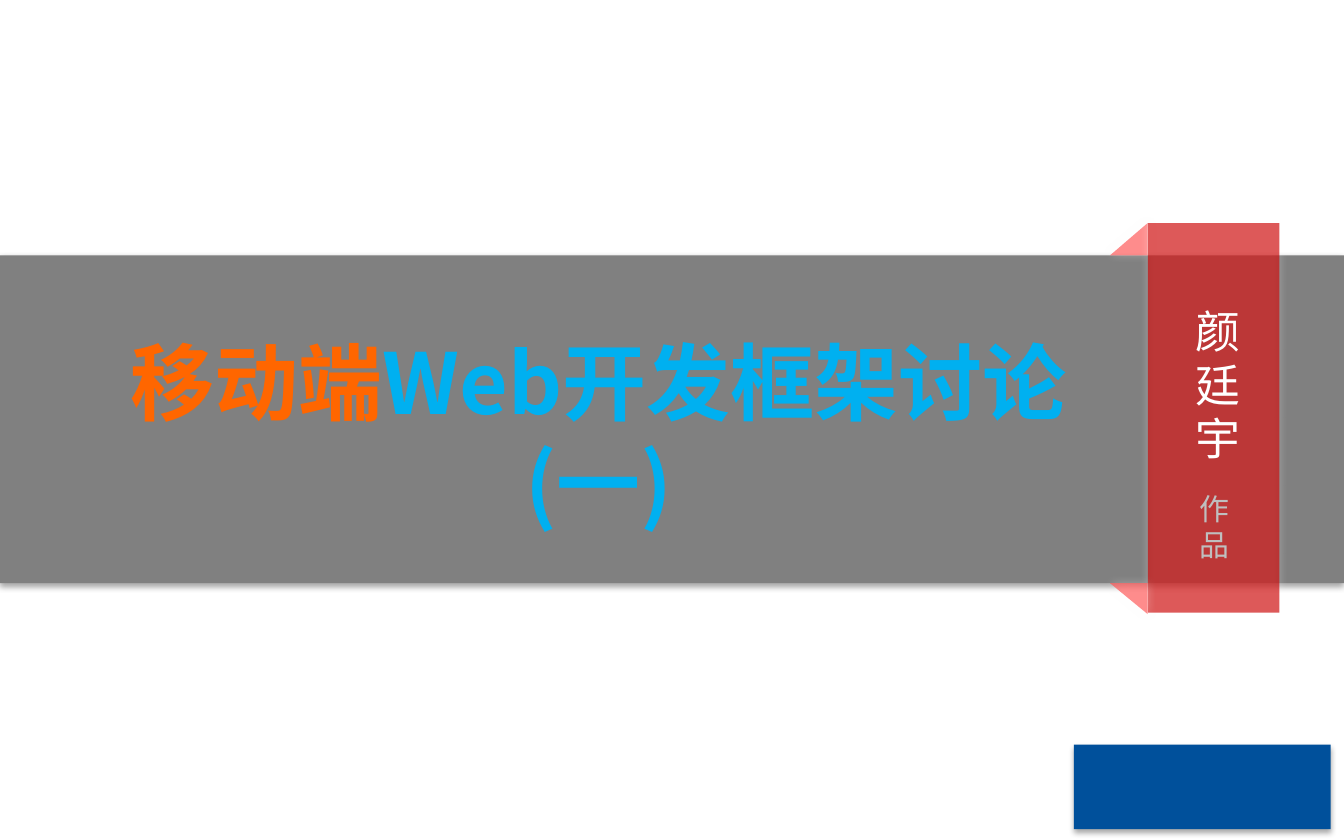
from lxml.etree import SubElement
from pptx import Presentation
from pptx.dml.color import RGBColor
from pptx.enum.shapes import MSO_SHAPE as Preset
from pptx.enum.text import MSO_ANCHOR as Anchor, MSO_AUTO_SIZE as AutoSize, PP_ALIGN as Align
from pptx.oxml import parse_xml
from pptx.oxml.ns import nsdecls, qn
from pptx.util import Pt

PX = 9144  # 100 px to the inch
DARK_SHADOW = ("000000", 35, 3.1, 1.8, 90)
LIGHT_GLOW = ("FFFFFF", 40, 5, 0, 0)


def rgb(value):
    return RGBColor.from_string(value)


class Cover:
    font = "Noto Sans CJK SC"

    def __init__(self, deck):
        self.slide = deck.slides.add_slide(deck.slide_layouts[5])

    def panel(self, box, color, shadow, alpha=None, preset=Preset.RECTANGLE, flips=()):
        panel = self.slide.shapes.add_shape(preset, *(n * PX for n in box))
        panel.shadow.inherit = False
        panel.line.fill.background()
        panel.fill.solid()
        panel.fill.fore_color.rgb = rgb(color)
        properties = panel._element.spPr
        if alpha:
            tint = properties.find(qn("a:solidFill"))[0]
            SubElement(tint, qn("a:alpha"), val=str(alpha * 1000))
        for flip in flips:
            properties.get_or_add_xfrm().set(flip, "1")
        tone, opacity, blur, distance, angle = shadow
        properties.find(qn("a:effectLst")).append(parse_xml(
            f'<a:outerShdw {nsdecls("a")} blurRad="{Pt(blur)}" dist="{Pt(distance)}" '
            f'dir="{angle * 60000}" rotWithShape="0"><a:srgbClr val="{tone}">'
            f'<a:alpha val="{opacity * 1000}"/></a:srgbClr></a:outerShdw>'))

    def style(self, run, size, color, bold=False):
        run.font.size = Pt(size)
        run.font.bold = bold
        run.font.color.rgb = rgb(color)
        run.font.name = self.font
        SubElement(run._r.get_or_add_rPr(), qn("a:ea"), typeface=self.font)

    def title(self, box, parts, size):
        title = self.slide.shapes.title
        title.left, title.top, title.width, title.height = (n * PX for n in box)
        self.slide.shapes._spTree.append(title._element)  # in front of the band
        frame = title.text_frame
        frame.word_wrap = True
        frame.auto_size = AutoSize.NONE
        frame.vertical_anchor = Anchor.TOP
        heading = frame.paragraphs[0]
        heading.alignment = Align.CENTER
        for words, color in parts:
            run = heading.add_run()
            run.text = words
            self.style(run, size, color, bold=True)
            run.font._element.insert(0, parse_xml(
                f'<a:ln {nsdecls("a")} w="{Pt(0.75)}"><a:solidFill>'
                '<a:srgbClr val="F2F2F2"/></a:solidFill></a:ln>'))

    def label(self, box, text, size, color):
        frame = self.slide.shapes.add_textbox(*(n * PX for n in box)).text_frame
        frame.word_wrap = True
        frame.auto_size = AutoSize.SHAPE_TO_FIT_TEXT
        frame.text = text
        for paragraph in frame.paragraphs:
            paragraph.alignment = Align.CENTER
            for run in paragraph.runs:
                self.style(run, size, color)


def main():
    deck = Presentation()
    deck.slide_width, deck.slide_height = 1000 * PX, 625 * PX
    cover = Cover(deck)

    # Title band
    cover.panel((0, 190, 1000, 244), "808080", DARK_SHADOW)
    cover.title((37, 241, 817, 134),
                [("移动端", "FF6600"), ("Web开发框架讨论(一)", "00B0F0")], 45)

    # Ribbon with its two folds
    cover.panel((826, 166, 28, 24), "FF5050", LIGHT_GLOW, 65,
                Preset.RIGHT_TRIANGLE, ("flipH",))
    cover.panel((854, 166, 98, 290), "CC0000", LIGHT_GLOW, 65)
    cover.panel((826, 434, 28, 23), "FF5050", LIGHT_GLOW, 65,
                Preset.RIGHT_TRIANGLE, ("flipH", "flipV"))

    # Author, one character to a line
    cover.label((880, 221, 45, 131), "颜廷宇", 24, "FFFFFF")
    cover.label((881, 360, 45, 64), "作\n品", 16, "BFBFBF")

    # Corner block
    cover.panel((799, 554, 191, 63), "00509B", DARK_SHADOW)

    deck.save("out.pptx")


if __name__ == "__main__":
    main()
